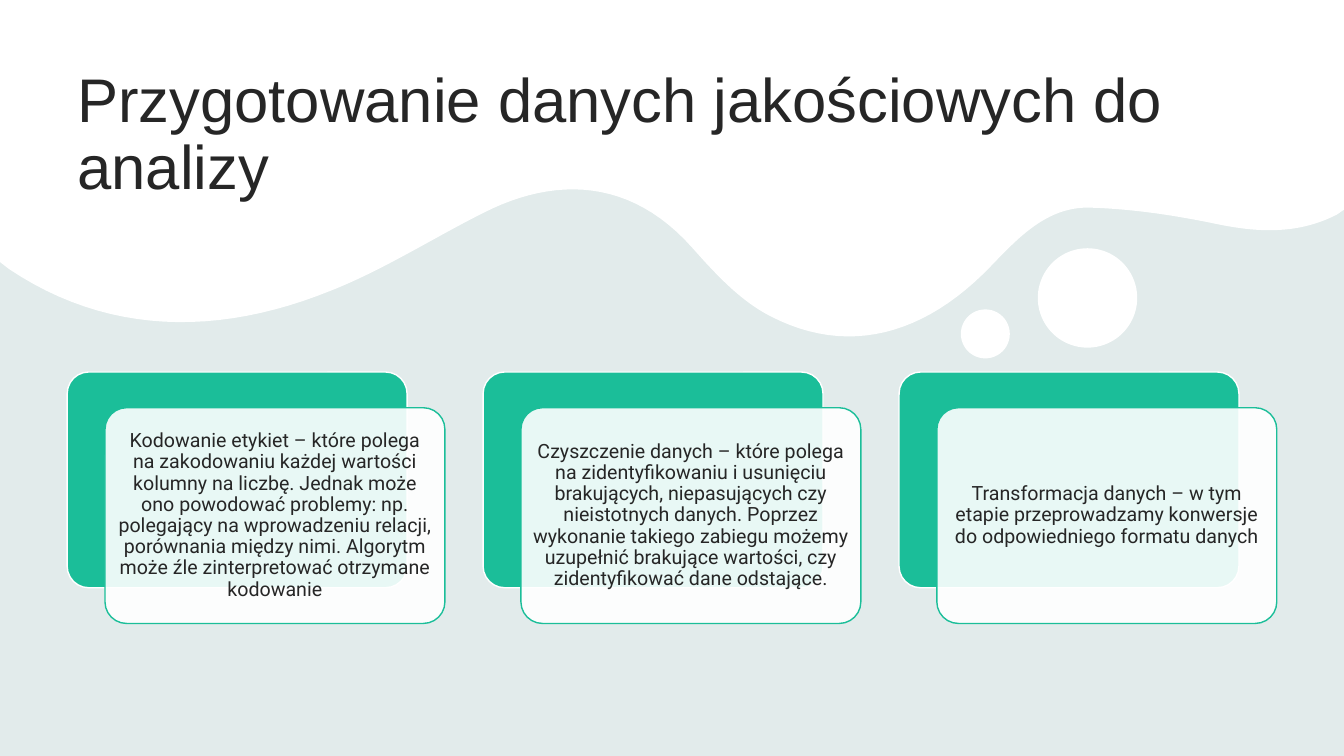
from lxml.etree import SubElement
from pptx import Presentation
from pptx.dml.color import RGBColor
from pptx.enum.shapes import MSO_SHAPE
from pptx.enum.text import MSO_ANCHOR, MSO_AUTO_SIZE, PP_ALIGN
from pptx.oxml.ns import qn
from pptx.util import Pt

WHITE = RGBColor(0xFF, 0xFF, 0xFF)
MIST = RGBColor(0xE9, 0xF3, 0xF3)
GREY = RGBColor(0xAE, 0xAE, 0xAE)
GREEN = RGBColor(0x1B, 0xBE, 0x99)
INK = RGBColor(0x26, 0x26, 0x26)

WIDTH, HEIGHT = 960, 540
WAVE_START = (954.7, 153.4)
WAVE = [
    ((928.1, 167), (900.7, 166.3), (871.9, 160.6)),
    ((841, 154.1), (808.6, 149), (776.9, 148.3)),
    ((747.4, 148.3), (727.2, 169.9), (707.8, 190.1)),
    ((660.2, 239.8), (605.5, 254.2), (550.8, 226.1)),
    ((529.2, 215.3), (511.2, 195.8), (494.6, 177.1)),
    ((450.7, 127.4), (396.7, 126), (345.6, 151.9)),
    ((309.6, 169.9), (275, 192.2), (236.9, 207.4)),
    ((155.5, 240.5), (76.3, 239), (6.5, 192.2)),
]
BUBBLES = [(686.3, 221, 35), (741.3, 177.3, 71)]

CARD_LEFT, CARD_TOP, CARD_STEP = 48, 265.75, 297.1
CARD_W, CARD_H = 242.8, 154.1
CARDS = [
    "Kodowanie etykiet – które polega na zakodowaniu każdej wartości kolumny na "
    "liczbę. Jednak może ono powodować problemy: np. polegający na wprowadzeniu "
    "relacji, porównania między nimi. Algorytm może źle zinterpretować otrzymane "
    "kodowanie",
    "Czyszczenie danych – które polega na zidentyfikowaniu i usunięciu "
    "brakujących, niepasujących czy nieistotnych danych. Poprzez wykonanie "
    "takiego zabiegu możemy uzupełnić brakujące wartości, czy zidentyfikować "
    "dane odstające.",
    "Transformacja danych – w tym etapie przeprowadzamy konwersje do "
    "odpowiedniego formatu danych",
]


def curve_points(start, curves, steps=24):
    points = [start]
    for a, b, c in curves:
        o = points[-1]
        for i in range(1, steps + 1):
            t = i / steps
            u = 1 - t
            points.append(tuple(
                u**3 * o[k] + 3 * u * u * t * a[k] + 3 * u * t * t * b[k] + t**3 * c[k]
                for k in (0, 1)))
    return points


class Deck:
    """Draws styled elements on the current slide, with lengths in points."""

    def __init__(self, prs):
        self.s = prs.slides.add_slide(prs.slide_layouts[5])
        self.s.background.fill.solid()
        self.s.background.fill.fore_color.rgb = MIST

    def paint(self, sp, fill, line=None, alpha=None):
        sp.shadow.inherit = False
        sp.fill.solid()
        sp.fill.fore_color.rgb = fill
        if alpha is not None:
            color = sp.element.spPr.find(qn("a:solidFill"))[0]
            SubElement(color, qn("a:alpha")).set("val", str(alpha * 1000))
        if line is None:
            sp.line.fill.background()
        else:
            sp.line.color.rgb = line
            sp.line.width = Pt(1)

    def shape(self, kind, x, y, w, h, fill, line=None, alpha=None, parent=None):
        shapes = (parent or self.s).shapes
        sp = shapes.add_shape(kind, Pt(x), Pt(y), Pt(w), Pt(h))
        self.paint(sp, fill, line, alpha)
        return sp

    def outline(self, points, fill):
        first, *rest = [(Pt(x), Pt(y)) for x, y in points]
        builder = self.s.shapes.build_freeform(*first)
        builder.add_line_segments(rest, close=True)
        self.paint(builder.convert_to_shape(), fill)

    def label(self, sp, text, font, size, align, anchor, inset_x, inset_y):
        tf = sp.text_frame
        tf.word_wrap = True
        tf.auto_size = MSO_AUTO_SIZE.NONE
        tf.vertical_anchor = anchor
        tf.margin_left = tf.margin_right = Pt(inset_x)
        tf.margin_top = tf.margin_bottom = Pt(inset_y)
        p = tf.paragraphs[0]
        p.alignment = align
        p.line_spacing = 0.9
        r = p.add_run()
        r.text = text
        r.font.name = font
        r.font.size = Pt(size)
        r.font.color.rgb = INK

    def title(self, text, x, y, w, h):
        sp = self.s.shapes.title
        sp.left, sp.top, sp.width, sp.height = Pt(x), Pt(y), Pt(w), Pt(h)
        sp.element.getparent().append(sp.element)
        self.label(sp, text, "Arial", 44, PP_ALIGN.LEFT, MSO_ANCHOR.BOTTOM, 7.2, 3.6)

    def card(self, text, x, y):
        group = self.s.shapes.add_group_shape()
        front_x, front_y = x + 27, y + 25.5
        back = self.shape(MSO_SHAPE.ROUNDED_RECTANGLE, x, y, CARD_W, CARD_H,
                          GREEN, WHITE, parent=group)
        front = self.shape(MSO_SHAPE.ROUNDED_RECTANGLE, front_x, front_y, CARD_W, CARD_H,
                           WHITE, GREEN, 90, group)
        back.adjustments[0] = front.adjustments[0] = 0.1
        sp = group.shapes.add_textbox(Pt(front_x + 4.5), Pt(front_y + 4.5),
                                      Pt(CARD_W - 9), Pt(CARD_H - 9))
        self.label(sp, text, "Roboto", 14, PP_ALIGN.CENTER, MSO_ANCHOR.MIDDLE, 4.2, 4.2)


def main():
    prs = Presentation()
    prs.slide_width, prs.slide_height = Pt(WIDTH), Pt(HEIGHT)
    deck = Deck(prs)
    for fill, alpha in ((MIST, None), (GREY, 10)):
        deck.shape(MSO_SHAPE.RECTANGLE, 0, 0, WIDTH, HEIGHT, fill, alpha=alpha)
    deck.outline([(0, 187.2), (0, 0), (WIDTH, 0), (WIDTH, 149.8),
                  *curve_points(WAVE_START, WAVE)], WHITE)
    for x, y, size in BUBBLES:
        deck.shape(MSO_SHAPE.OVAL, x, y, size, size, WHITE)
    deck.title("Przygotowanie danych jakościowych do analizy", 48, 44, 864, 104.4)
    for i, text in enumerate(CARDS):
        deck.card(text, CARD_LEFT + i * CARD_STEP, CARD_TOP)
    prs.save("out.pptx")


if __name__ == "__main__":
    main()
